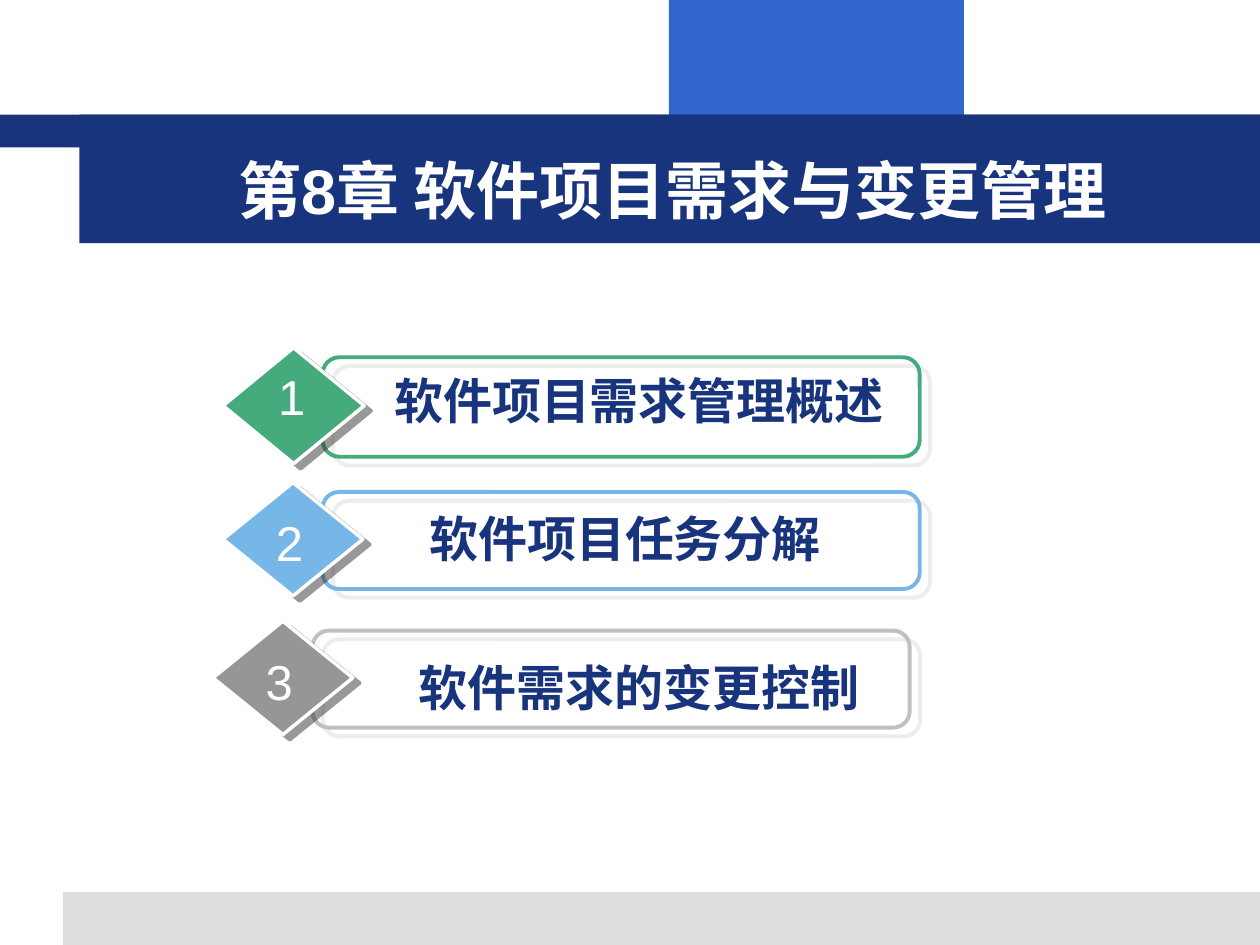
from lxml import etree
from pptx import Presentation
from pptx.dml.color import RGBColor
from pptx.enum.shapes import MSO_SHAPE
from pptx.enum.text import MSO_ANCHOR, MSO_AUTO_SIZE, PP_ALIGN
from pptx.oxml.ns import qn
from pptx.util import Inches, Pt

NAVY, WHITE = "17347D", "FFFFFF"
TITLE = "第8章 软件项目需求与变更管理"
BARS = [  # left, top, width, height, colour
    (5.31, 0, 2.34, 0.92, "3366CC"),
    (0.5, 7.08, 9.5, 0.42, "DDDDDD"),
    (0, 0.91, 10, 0.26, NAVY),
    (0.63, 0.91, 9.37, 1.02, NAVY),
]
# The first diamond is slightly larger than the others.
ITEMS = [
    dict(text="软件项目需求管理概述 ", diamond=(1.77, 2.76, 1.12, 0.92), frame_h=0.79,
         fill="45AB7D", line="45AB7D", label=(3.03, 2.89, 4.17), number=(1.93, 2.86, 0.77)),
    dict(text="软件项目任务分解 ", diamond=(1.77, 3.83, 1.11, 0.9), frame_h=0.77,
         fill="77B7E7", line="77B7E7", label=(2.8, 3.99, 4.41), number=(2.09, 4.02, 0.41)),
    dict(text="软件需求的变更控制 ", diamond=(1.69, 4.93, 1.11, 0.9), frame_h=0.77,
         fill="969696", line="C0C0C0", label=(3.03, 5.17, 4.17), number=(2.01, 5.12, 0.41)),
]
FRAME_DX, FRAME_W, TEXT_H = 0.79, 4.74, 0.57


def rgb(color):
    return RGBColor.from_string(color)


def add_shadow(sp, color, distance, angle):
    """Add a sharp, half-transparent shadow; distance in points, angle in degrees."""
    effects = etree.SubElement(sp._element.spPr, qn("a:effectLst"))
    shadow = etree.SubElement(effects, qn("a:outerShdw"), dist=str(Pt(distance)),
                              dir=str(angle * 60000), algn="ctr", rotWithShape="0")
    tint = etree.SubElement(shadow, qn("a:srgbClr"), val=color)
    etree.SubElement(tint, qn("a:alpha"), val="50000")


def add_shape(kind, box, fill=None, line=None, width=1, shadow=None):
    sp = s.shapes.add_shape(kind, *map(Inches, box))
    if fill:
        sp.fill.solid()
        sp.fill.fore_color.rgb = rgb(fill)
    else:
        sp.fill.background()
    if line:
        sp.line.color.rgb = rgb(line)
        sp.line.width = Pt(width)
    else:
        sp.line.fill.background()
    if shadow:
        add_shadow(sp, *shadow)
    else:
        sp.shadow.inherit = False
    return sp


def write(sp, text, size, color, bold=False):
    tf = sp.text_frame
    tf.word_wrap = True
    tf.auto_size = MSO_AUTO_SIZE.NONE
    tf.vertical_anchor = MSO_ANCHOR.TOP
    p = tf.paragraphs[0]
    p.text = text
    p.alignment = PP_ALIGN.CENTER
    p.font.name = "Arial"
    p.font.size = Pt(size)
    p.font.bold = bold
    p.font.color.rgb = rgb(color)


def add_text(place, *style):
    write(s.shapes.add_textbox(*map(Inches, (*place, TEXT_H))), *style)


prs = Presentation()
prs.slide_width, prs.slide_height = Inches(10), Inches(7.5)
s = prs.slides.add_slide(prs.slide_layouts[5])

for *box, color in BARS:
    add_shape(MSO_SHAPE.RECTANGLE, box, color)

title = s.shapes.title
title.left, title.top, title.width, title.height = map(Inches, (1.22, 1.15, 8.23, 0.7))
write(title, TITLE, 36, WHITE, True)
s.shapes._spTree.append(title._element)  # in front of the bars

for number, item in enumerate(ITEMS, 1):
    left, top, width, height = item["diamond"]
    frame_top = top + (height - item["frame_h"]) / 2 + 0.01
    frame = add_shape(MSO_SHAPE.ROUNDED_RECTANGLE,
                      (left + FRAME_DX, frame_top, FRAME_W, item["frame_h"]),
                      line=item["line"], width=2.25, shadow=("DDDDDD", 7.8, 40))
    frame.adjustments[0] = 0.17
    add_shape(MSO_SHAPE.DIAMOND, item["diamond"], item["fill"], WHITE, 2,
              ("333333", 5, 37))
    add_text(item["label"], item["text"], 28, NAVY, True)
    add_text(item["number"], str(number), 28, WHITE)

prs.save("out.pptx")
